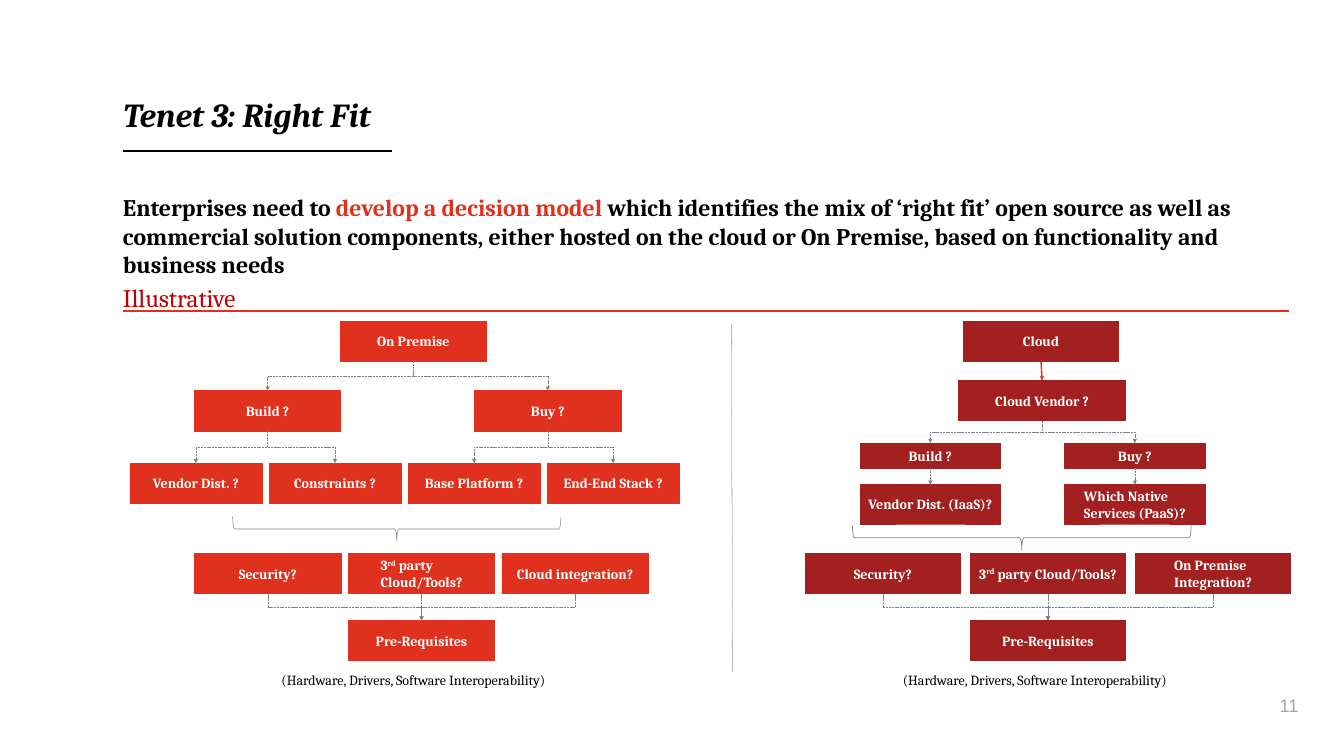
from lxml import etree
from pptx import Presentation
from pptx.dml.color import RGBColor
from pptx.enum.dml import MSO_LINE
from pptx.enum.shapes import MSO_CONNECTOR, MSO_SHAPE
from pptx.enum.text import MSO_ANCHOR, MSO_AUTO_SIZE, PP_ALIGN
from pptx.oxml.ns import qn
from pptx.util import Cm, Pt

RECTANGLE, BRACE = MSO_SHAPE.RECTANGLE, MSO_SHAPE.LEFT_BRACE
STRAIGHT, ELBOW = MSO_CONNECTOR.STRAIGHT, MSO_CONNECTOR.ELBOW
DASHED = MSO_LINE.SQUARE_DOT
LEFT, CENTER, RIGHT = PP_ALIGN.LEFT, PP_ALIGN.CENTER, PP_ALIGN.RIGHT
MIDDLE, BOTTOM = MSO_ANCHOR.MIDDLE, MSO_ANCHOR.BOTTOM
BOTTOM_SITE, TOP_SITE = 2, 0

THEME = {
    "font": "Cambria", "number_font": "Arial",
    "red": "E0301E", "dark_red": "A32020", "label_red": "C00000",
    "black": "000000", "white": "FFFFFF", "gray": "808080", "pale": "A6A6A6",
    "title": 48, "lead": 34, "label": 36, "box": 20, "number": 26,
}

TITLE = "Tenet 3: Right Fit"
LEAD = [
    ("Enterprises need to ", "black"),
    ("develop a decision model ", "red"),
    ("which identifies the mix of ‘right fit’ open source as well as commercial "
     "solution components, either hosted on the cloud or On Premise, based on "
     "functionality and business needs", "black"),
]
CAPTION = "(Hardware, Drivers, Software Interoperability)"
MARGIN, CONTENT_WIDTH = 6.2, 59.26

# Lengths in cm. Row: top, height, box width, first left, step, labels (^ marks superscript).
# Links are (row, column) pairs from parent to child.
TREES = [
    {
        "color": "red",
        "rows": [
            (16.18, 2.03, 7.37, 17.15, 0, ["On Premise"]),
            (19.69, 2.03, 7.37, 9.8, 14.13, ["Build ?", "Buy ?"]),
            (23.34, 2.03, 6.65, 6.55, 7.01,
             ["Vendor Dist. ?", "Constraints ?", "Base Platform ?", "End-End Stack ?"]),
            (27.89, 2.03, 7.37, 9.82, 7.74,
             ["Security?", "3^rd^ party Cloud/Tools?", "Cloud integration?"]),
            (31.27, 2.03, 7.37, 17.56, 0, ["Pre-Requisites"]),
        ],
        "links": [((0, 0), (1, 0)), ((0, 0), (1, 1)),
                  ((1, 0), (2, 0)), ((1, 0), (2, 1)),
                  ((1, 1), (2, 2)), ((1, 1), (2, 3)),
                  ((3, 0), (4, 0)), ((3, 1), (4, 0)), ((3, 2), (4, 0))],
        "bold_links": [],
        "brace": (20, 26.66, 16.54, 0.75),
        "caption_center": 20.84,
    },
    {
        "color": "dark_red",
        "rows": [
            (16.18, 2.03, 7.82, 48.56, 0, ["Cloud"]),
            (19.18, 2.03, 8.43, 48.31, 0, ["Cloud Vendor ?"]),
            (22.33, 1.27, 7.06, 43.36, 10.31, ["Build ?", "Buy ?"]),
            (24.43, 1.98, 7.06, 43.36, 10.31,
             ["Vendor Dist. (IaaS)?", "Which Native Services (PaaS)?"]),
            (27.89, 2.03, 7.82, 40.59, 8.32,
             ["Security?", "3^rd^ party Cloud/Tools?", "On Premise Integration?"]),
            (31.27, 2.03, 7.82, 48.91, 0, ["Pre-Requisites"]),
        ],
        "links": [((1, 0), (2, 0)), ((1, 0), (2, 1)),
                  ((2, 0), (3, 0)), ((2, 1), (3, 1)),
                  ((4, 0), (5, 0)), ((4, 1), (5, 0)), ((4, 2), (5, 0))],
        "bold_links": [((0, 0), (1, 0))],
        "brace": (51.5, 27.1, 17.07, 1),
        "caption_center": 52.16,
    },
]


def color(name):
    return RGBColor.from_string(THEME[name])


def style(span, size, tint, bold=False, italic=False, font="font"):
    span.font.name, span.font.size = THEME[font], Pt(THEME[size])
    span.font.color.rgb = color(tint)
    span.font.bold, span.font.italic = bold, italic


def set_frame(frame, inset_x=0, inset_y=0, wrap=True, anchor=MSO_ANCHOR.TOP):
    frame.margin_left = frame.margin_right = Cm(inset_x)
    frame.margin_top = frame.margin_bottom = Cm(inset_y)
    frame.word_wrap, frame.vertical_anchor = wrap, anchor
    frame.auto_size = MSO_AUTO_SIZE.NONE


def add_text(shapes, place, text, size, tint, align=LEFT, font="font", **frame_options):
    box = shapes.add_textbox(*map(Cm, place))
    set_frame(box.text_frame, **frame_options)
    para = box.text_frame.paragraphs[0]
    para.text, para.alignment = text, align
    style(para.runs[0], size, tint, font=font)


def add_box(shapes, place, label, fill):
    box = shapes.add_shape(RECTANGLE, *map(Cm, place))
    box.shadow.inherit = False
    box.fill.solid()
    box.fill.fore_color.rgb = box.line.color.rgb = color(fill)
    box.line.width = Pt(1)
    set_frame(box.text_frame, 0.28, 0.13, anchor=MIDDLE)
    # Centres the text block while its lines stay left-aligned
    box.text_frame._txBody.bodyPr.set("anchorCtr", "1")
    para = box.text_frame.paragraphs[0]
    para.alignment = LEFT
    for index, part in enumerate(label.split("^")):
        span = para.add_run()
        span.text = part
        style(span, "box", "white", bold=True)
        if index % 2:
            span.font._element.set("baseline", "30000")
    return box


def format_line(line, tint, width, dashed=False, arrow=False):
    line.line.color.rgb, line.line.width = color(tint), Pt(width)
    if dashed:
        line.line.dash_style = DASHED
    if arrow:
        etree.SubElement(line.line._get_or_add_ln(), qn("a:tailEnd"), type="triangle")
    etree.SubElement(line._element.spPr, qn("a:effectLst"))


def add_rule(shapes, ends, tint, width, dashed=False):
    format_line(shapes.add_connector(STRAIGHT, *map(Cm, ends)), tint, width, dashed)


def link(shapes, parent, child, tint="gray", width=1, dashed=True):
    """Arrow from the parent's bottom to the child's top, bent where they are not in line."""
    x1, y1 = parent.left + parent.width // 2, parent.top + parent.height
    x2, y2 = child.left + child.width // 2, child.top
    bent = abs(x2 - x1) > Cm(0.25)
    line = shapes.add_connector(ELBOW if bent else STRAIGHT, x1, y1, x2, y2)
    line.begin_connect(parent, BOTTOM_SITE)
    line.end_connect(child, TOP_SITE)
    if bent:  # turned a quarter so that it leaves and arrives vertically
        run, drop = abs(x2 - x1), y2 - y1
        line.left, line.top = (x1 + x2 - drop) // 2, (y1 + y2 - run) // 2
        line.width, line.height = drop, run
        frame = line._element.spPr.find(qn("a:xfrm"))
        frame.set("rot", "5400000" if x2 < x1 else "16200000")
        frame.set("flipH", "0" if x2 < x1 else "1")
        frame.set("flipV", "0")
    format_line(line, tint, width, dashed, arrow=True)


def add_tree(slide, tree):
    shapes = slide.shapes.add_group_shape().shapes
    boxes = {}
    for row, (top, height, width, left, step, labels) in enumerate(tree["rows"]):
        for column, label in enumerate(labels):
            place = (left + column * step, top, width, height)
            boxes[row, column] = add_box(shapes, place, label, tree["color"])
    for parent, child in tree["links"]:
        link(shapes, boxes[parent], boxes[child])
    for parent, child in tree["bold_links"]:
        link(shapes, boxes[parent], boxes[child], "red", 2, dashed=False)
    x, y, span, weight = tree["brace"]
    depth = 1.24
    brace = shapes.add_shape(BRACE, Cm(x - depth / 2), Cm(y - span / 2), Cm(depth), Cm(span))
    brace.rotation = 270
    brace.shadow.inherit = False
    brace.fill.background()
    brace.line.color.rgb, brace.line.width = color("gray"), Pt(weight)
    add_text(shapes, (tree["caption_center"] - 7.6, 33.71, 15.2, 1.12), CAPTION,
             "box", "black", CENTER, inset_x=0.25, inset_y=0.13, wrap=False)


def main():
    deck = Presentation()
    deck.slide_width, deck.slide_height = Cm(67.74), Cm(38.1)
    slide = deck.slides.add_slide(deck.slide_layouts[5])
    shapes = slide.shapes

    title = shapes.title
    title.left, title.top, title.width, title.height = map(Cm, (MARGIN, 4.7, CONTENT_WIDTH, 2.06))
    set_frame(title.text_frame, anchor=BOTTOM)
    title.text_frame.text = TITLE
    title.text_frame.paragraphs[0].alignment = LEFT
    style(title.text_frame.paragraphs[0].runs[0], "title", "black", bold=True, italic=True)
    add_rule(shapes, (MARGIN, 7.62, 19.74, 7.62), "black", 2.75)

    lead = shapes.add_textbox(*map(Cm, (MARGIN, 9.73, CONTENT_WIDTH, 4.37)))
    set_frame(lead.text_frame)
    for text, tint in LEAD:
        span = lead.text_frame.paragraphs[0].add_run()
        span.text = text
        style(span, "lead", tint, bold=True)

    add_text(shapes, (MARGIN, 14.22, 9.17, 2.08), "Illustrative", "label", "label_red")
    add_rule(shapes, (MARGIN, 15.67, 64.95, 15.67), "red", 2)
    add_rule(shapes, (36.88, 16.31, 36.91, 33.83), "gray", 0.75, dashed=True)
    for tree in TREES:
        add_tree(slide, tree)
    add_text(shapes, (64.31, 35, 1.14, 1.12), "11", "number", "pale", RIGHT,
             font="number_font", wrap=False)
    deck.save("out.pptx")


if __name__ == "__main__":
    main()
